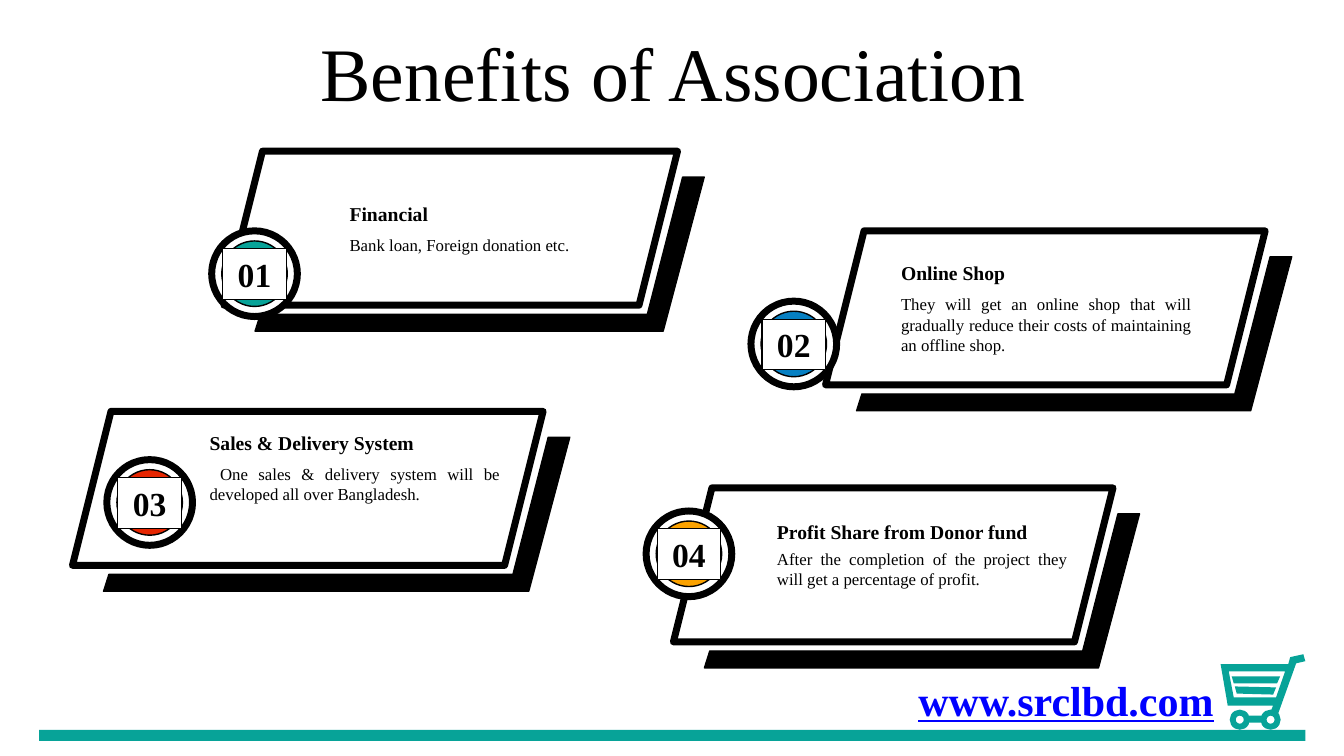
from dataclasses import dataclass

from pptx import Presentation, util as u
from pptx.dml.color import RGBColor
from pptx.enum import shapes, text

Kind = shapes.MSO_SHAPE
Align = text.PP_ALIGN
Anchor = text.MSO_ANCHOR


@dataclass(frozen=True)
class Theme:
    font: str = "Times New Roman"
    black: str = "000000"
    white: str = "FFFFFF"
    teal: str = "07A398"
    blue: str = "0680C3"
    red: str = "E62601"
    amber: str = "FBA200"
    link: str = "0000FF"
    title: int = 54
    site: int = 30
    badge: int = 24
    head: int = 14
    body: int = 12


class Deck:
    def __init__(self, theme):
        self.theme = theme
        self.file = Presentation()
        self.file.slide_width, self.file.slide_height = u.Pt(960), u.Pt(540)
        self.slide = self.file.slides.add_slide(self.file.slide_layouts[6])

    def paint(self, item, fill, line=0):
        item.shadow.inherit = False
        item.fill.solid()
        item.fill.fore_color.rgb = RGBColor.from_string(fill)
        if line:
            item.line.color.rgb = RGBColor.from_string(self.theme.black)
            item.line.width = u.Pt(line)
        else:
            item.line.fill.background()
        return item

    def shape(self, kind, x, y, w, h, fill, line=0):
        item = self.slide.shapes.add_shape(kind, *map(u.Pt, (x, y, w, h)))
        return self.paint(item, fill, line)

    def outline(self, loops, fill, line=0):
        """Draw closed loops as one shape; inner loops cut holes."""
        loops = [[(u.Pt(x), u.Pt(y)) for x, y in loop] for loop in loops]
        pen = self.slide.shapes.build_freeform(*loops[0][0])
        for loop in loops:
            if loop is not loops[0]:
                pen.move_to(*loop[0])
            pen.add_line_segments(loop[1:], close=True)
        return self.paint(pen.convert_to_shape(), fill, line)

    def letter(self, item, words, size, align, bold=False, color=None, anchor=Anchor.TOP):
        """Set the wording of an item as one styled paragraph."""
        frame = item.text_frame
        frame.word_wrap = True
        frame.vertical_anchor = anchor
        para = frame.paragraphs[0]
        para.text = words
        para.alignment = align
        font = para.font
        font.name, font.size, font.bold = self.theme.font, u.Pt(size), bold
        font.color.rgb = RGBColor.from_string(color or self.theme.black)
        return para

    def label(self, x, y, w, h, words, size, align, **style):
        item = self.slide.shapes.add_textbox(*map(u.Pt, (x, y, w, h)))
        return self.letter(item, words, size, align, **style)

    def panel(self, x, y, w):
        """Draw a slanted panel with a thick band along its right and bottom."""
        self.shape(Kind.PARALLELOGRAM, x, y, w, 110, self.theme.white, 5)
        band = [(w + 3.6, 18.5), (w + 19, 18.5), (w - 10.3, 128.5),
                (22.2, 128.5), (26, 116.5), (w - 21.6, 116.5)]
        self.outline([[(x + dx, y + dy) for dx, dy in band]], self.theme.black, 1)

    def badge(self, x, y, words, color):
        look = self.theme
        self.shape(Kind.OVAL, x, y, 61.2, 61.2, look.white, 5)
        self.shape(Kind.OVAL, x + 7.2, y + 7.2, 46.8, 46.8, color, 1)
        plate = self.shape(Kind.RECTANGLE, x + 7.9, y + 12.8, 45.4, 36.3, look.white, 0.75)
        frame = plate.text_frame
        frame.margin_left = frame.margin_right = u.Pt(8.6)
        self.letter(plate, words, look.badge, Align.CENTER, bold=True)

    def cart(self):
        teal = self.theme.teal
        body = [(932.4, 472.3), (931, 467.3), (921.6, 469.4), (920.2, 474.5),
                (871.9, 474.5), (877, 504), (909.4, 504), (907.9, 507.6),
                (913, 509.8), (925.9, 473.8)]
        hole = [(918, 479.5), (911.5, 498.2), (881.3, 498.2), (877.7, 479.5)]
        self.outline([body, hole], teal)
        self.outline([[(879.8, 483.1), (914.4, 483.1), (912.2, 488.2), (881.3, 488.2)]], teal)
        self.outline([[(882, 490.3), (911.5, 491), (909.4, 496.1), (883.4, 495.4)]], teal)
        for x in (878.4, 900.4):
            wheel = self.shape(Kind.DONUT, x, 506.9, 14.4, 14.4, teal)
            wheel.adjustments[0] = 0.3
        self.shape(Kind.RECTANGLE, 892, 511.2, 9.4, 5, teal)


# panel x, y, width; text x, y; heading-to-body gap; badge x, y; colour; wording
look = Theme()
BENEFITS = [
    ((160, 108, 324), (242.6, 140.4), 23.8, (151.2, 164.9), look.teal,
     "Financial", "Bank loan, Foreign donation etc."),
    ((589.7, 164.9, 314), (636.5, 182.4), 24.2, (536.4, 215.1), look.blue,
     "Online Shop", "They will get an online shop that will gradually reduce "
     "their costs of maintaining an offline shop."),
    ((51.8, 293.8, 336.2), (142.6, 303.8), 23.8, (76.3, 328.3), look.red,
     "Sales & Delivery System",
     " One sales & delivery system will be developed all over Bangladesh."),
    ((481, 348.5, 314), (547.9, 367.4), 20.8, (461.5, 365), look.amber,
     "Profit Share from Donor fund",
     "After the completion of the project they will get a percentage of profit."),
]


def main():
    deck = Deck(look)
    deck.cart()
    deck.shape(Kind.RECTANGLE, 28, 521.3, 904.4, 7.9, look.teal)
    title = deck.label(25.2, 26.6, 911.5, 56.9, "Benefits of Association",
                       look.title, Align.CENTER, anchor=Anchor.MIDDLE)
    title.line_spacing = 0.9
    for num, (panel, (x, y), gap, badge, color, head, body) in enumerate(BENEFITS, 1):
        deck.panel(*panel)
        deck.label(x, y + gap, 221.8, 36, body, look.body, Align.JUSTIFY)
        deck.label(x, y, 221.8, 24.5, head, look.head, Align.LEFT,
                   bold=True, anchor=Anchor.MIDDLE)
        deck.badge(*badge, f"{num:02}", color)
    site = deck.label(648.7, 478, 225.4, 44, "www.srclbd.com",
                      look.site, Align.RIGHT, bold=True, color=look.link)
    site.font.underline = True
    deck.file.save("out.pptx")


if __name__ == "__main__":
    main()
